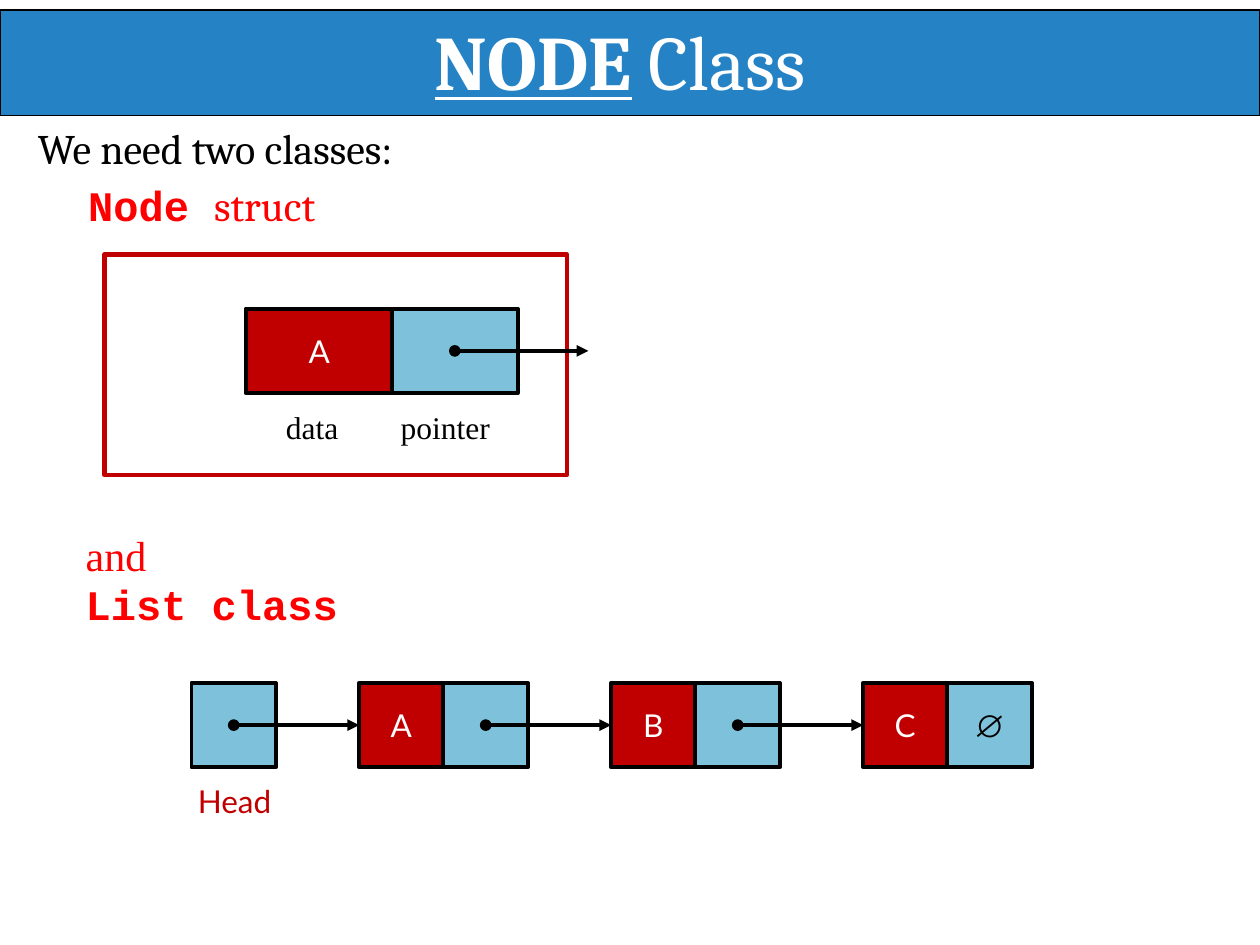
import dataclasses

import pptx
import pptx.dml.color
import pptx.enum.shapes
import pptx.enum.text
import pptx.oxml.ns
import pptx.util
from lxml import etree
from pptx.util import Inches

ALIGN = pptx.enum.text.PP_ALIGN
ANCHOR = pptx.enum.text.MSO_ANCHOR


@dataclasses.dataclass(frozen=True)
class Theme:
    banner: str = "2583C5"
    data: str = "C00000"
    pointer: str = "7EC1DB"
    accent: str = "FF0000"
    dark: str = "000000"
    light: str = "FFFFFF"
    title_size: float = 44
    body_size: float = 24
    label_size: float = 18
    outline: float = 2.25
    serif: str = "Cambria"
    roman: str = "Times New Roman"
    code: str = "Courier New"
    sans: str = "Lato"
    symbol: str = "Arial"


THEME = Theme()


def rgb(value):
    return pptx.dml.color.RGBColor.from_string(value)


def set_frame(frame, top=0.0, anchor=ANCHOR.TOP, wrap=True):
    frame.auto_size = pptx.enum.text.MSO_AUTO_SIZE.NONE
    frame.word_wrap = wrap
    frame.vertical_anchor = anchor
    frame.margin_left = frame.margin_right = frame.margin_bottom = 0
    frame.margin_top = Inches(top)


def add_span(para, text, font=THEME.sans, size=THEME.label_size,
             color=THEME.dark, bold=False, underline=False):
    span = para.add_run()
    span.text = text
    span.font.name = font
    span.font.size = pptx.util.Pt(size)
    span.font.color.rgb = rgb(color)
    span.font.bold = bold
    span.font.underline = underline


def format_para(para, indent=0.0, align=ALIGN.LEFT, before=0, line=None):
    properties = para._p.get_or_add_pPr()
    properties.set("marL", str(Inches(indent)))
    properties.set("indent", "0")
    para.alignment = align
    para.space_before = pptx.util.Pt(before)
    if line:
        para.line_spacing = pptx.util.Pt(line)


def add_box(page, left, top, width, height, inset=0.01, wrap=True):
    box = page.shapes.add_textbox(
        Inches(left), Inches(top), Inches(width), Inches(height))
    set_frame(box.text_frame, top=inset, wrap=wrap)
    return box.text_frame


def add_label(page, text, left, top, width, **style):
    frame = add_box(page, left, top, width, 0.33, wrap=False)
    add_span(frame.paragraphs[0], text, **style)


def add_rectangle(page, left, top, width, height, fill=None,
                  line=THEME.dark, weight=THEME.outline):
    shape = page.shapes.add_shape(
        pptx.enum.shapes.MSO_SHAPE.RECTANGLE,
        Inches(left), Inches(top), Inches(width), Inches(height))
    shape.shadow.inherit = False
    if fill:
        shape.fill.solid()
        shape.fill.fore_color.rgb = rgb(fill)
    else:
        shape.fill.background()
    shape.line.color.rgb = rgb(line)
    shape.line.width = pptx.util.Pt(weight)
    return shape


def add_cell(page, left, top, width, height, fill, text=None, **style):
    cell = add_rectangle(page, left, top, width, height, fill)
    if text:
        set_frame(cell.text_frame, anchor=ANCHOR.MIDDLE)
        para = cell.text_frame.paragraphs[0]
        para.alignment = ALIGN.CENTER
        add_span(para, text, **style)
    return cell


def add_pointer(page, source, length, target=None):
    left = source.left + source.width // 2
    middle = source.top + source.height // 2
    arrow = page.shapes.add_connector(
        pptx.enum.shapes.MSO_CONNECTOR.STRAIGHT,
        left, middle, left + Inches(length), middle)
    if target is not None:
        arrow.end_connect(target, 1)
    arrow.line.color.rgb = rgb(THEME.dark)
    arrow.line.width = pptx.util.Pt(THEME.outline)
    line = arrow.line._get_or_add_ln()
    for tag, kind in (("a:headEnd", "oval"), ("a:tailEnd", "triangle")):
        etree.SubElement(line, pptx.oxml.ns.qn(tag), type=kind)
    etree.SubElement(arrow.element.spPr, pptx.oxml.ns.qn("a:effectLst"))


def add_title(page):
    title = page.shapes.title
    title.left, title.top = Inches(0.94), Inches(0.1)
    title.width, title.height = Inches(8.12), Inches(0.76)
    set_frame(title.text_frame, top=0.01)
    para = title.text_frame.paragraphs[0]
    format_para(para, indent=2.51)
    style = dict(font=THEME.serif, size=THEME.title_size, color=THEME.light)
    add_span(para, "NODE", bold=True, underline=True, **style)
    add_span(para, " Class", **style)
    banner = add_rectangle(page, 0, 0.08, 10, 0.84, THEME.banner, weight=0.75)
    title.element.addprevious(banner.element)


def add_introduction(page):
    frame = add_box(page, 0.29, 0.9, 3.04, 0.94, inset=0.07)
    first, second = frame.paragraphs[0], frame.add_paragraph()
    format_para(first, indent=0.01)
    add_span(first, "We need two classes:", font=THEME.serif,
             size=THEME.body_size)
    format_para(second, indent=0.41, before=4.1)
    style = dict(size=THEME.body_size, color=THEME.accent)
    add_span(second, "Node ", font=THEME.code, bold=True, **style)
    add_span(second, "struct", font=THEME.serif, **style)


def add_node_diagram(page):
    top, height = 2.45, 0.67
    add_cell(page, 1.95, top, 1.17, height, THEME.data, "A",
             color=THEME.light)
    pointer = add_cell(page, 3.11, top, 1, height, THEME.pointer)
    add_label(page, "data", 2.27, 3.23, 0.43, font=THEME.roman)
    add_label(page, "pointer", 3.18, 3.23, 0.72, font=THEME.roman)
    add_rectangle(page, 0.83, 2.02, 3.67, 1.75, line=THEME.data, weight=2.5)
    add_pointer(page, pointer, 1.06)


def add_list_heading(page):
    frame = add_box(page, 0.67, 4.2, 2.02, 0.81, wrap=False)
    first, second = frame.paragraphs[0], frame.add_paragraph()
    style = dict(size=THEME.body_size, color=THEME.accent)
    for para in (first, second):
        format_para(para, indent=0.01, line=28.1)
    add_span(first, "and", font=THEME.roman, **style)
    add_span(second, "List class", font=THEME.code, bold=True, **style)


def add_list_diagram(page, values):
    side, top, start, pitch = 0.67, 5.42, 1.52, 2
    pointer = add_cell(page, start, top, side, side, THEME.pointer)
    for index, value in enumerate(values, 1):
        right = start + index * pitch
        data = add_cell(page, right - side, top, side, side, THEME.data,
                        value, color=THEME.light)
        add_pointer(page, pointer, 1, target=data)
        end_mark = "∅" if index == len(values) else None
        pointer = add_cell(page, right, top, side, side, THEME.pointer,
                           end_mark, font=THEME.symbol)
    add_label(page, "Head", 1.57, 6.2, 0.6, color=THEME.data)


def main():
    deck = pptx.Presentation()
    deck.slide_width, deck.slide_height = Inches(10), Inches(7.5)
    page = deck.slides.add_slide(deck.slide_layouts[5])
    add_title(page)
    add_introduction(page)
    add_node_diagram(page)
    add_list_heading(page)
    add_list_diagram(page, "ABC")
    deck.save("out.pptx")


if __name__ == "__main__":
    main()
